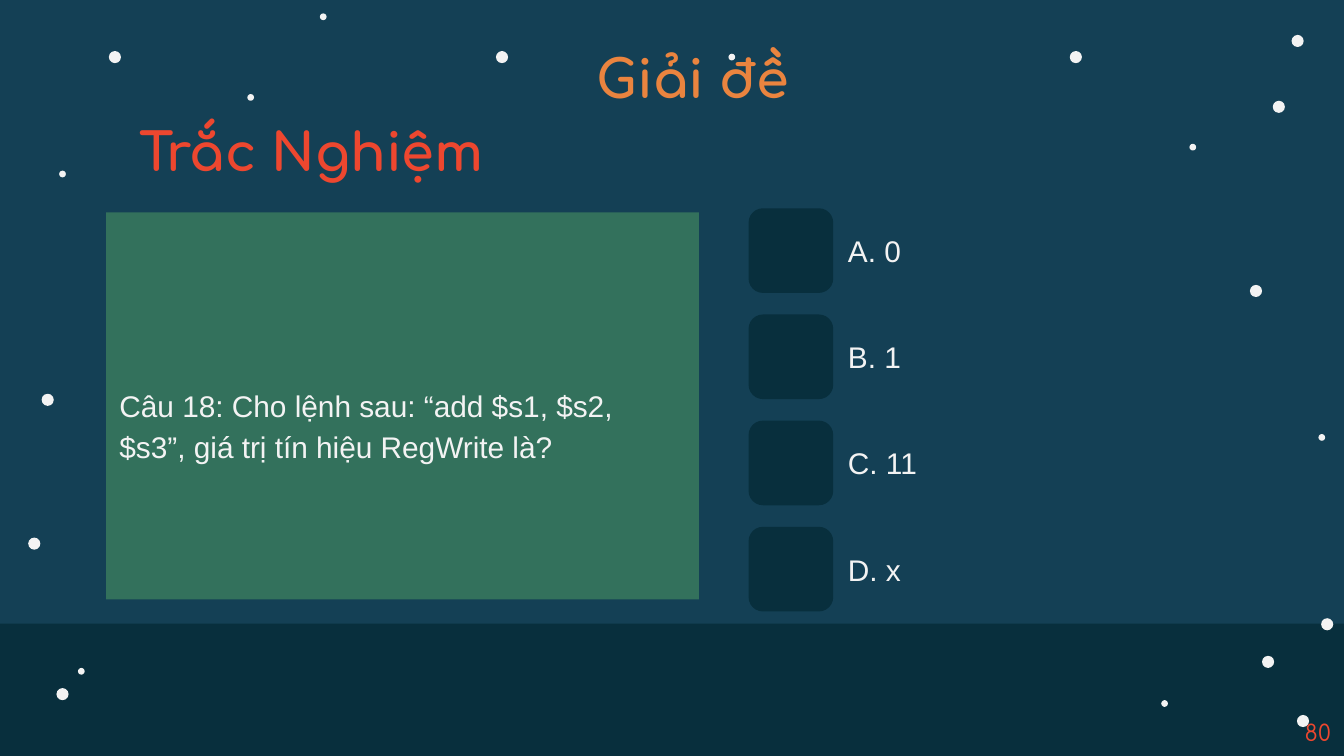
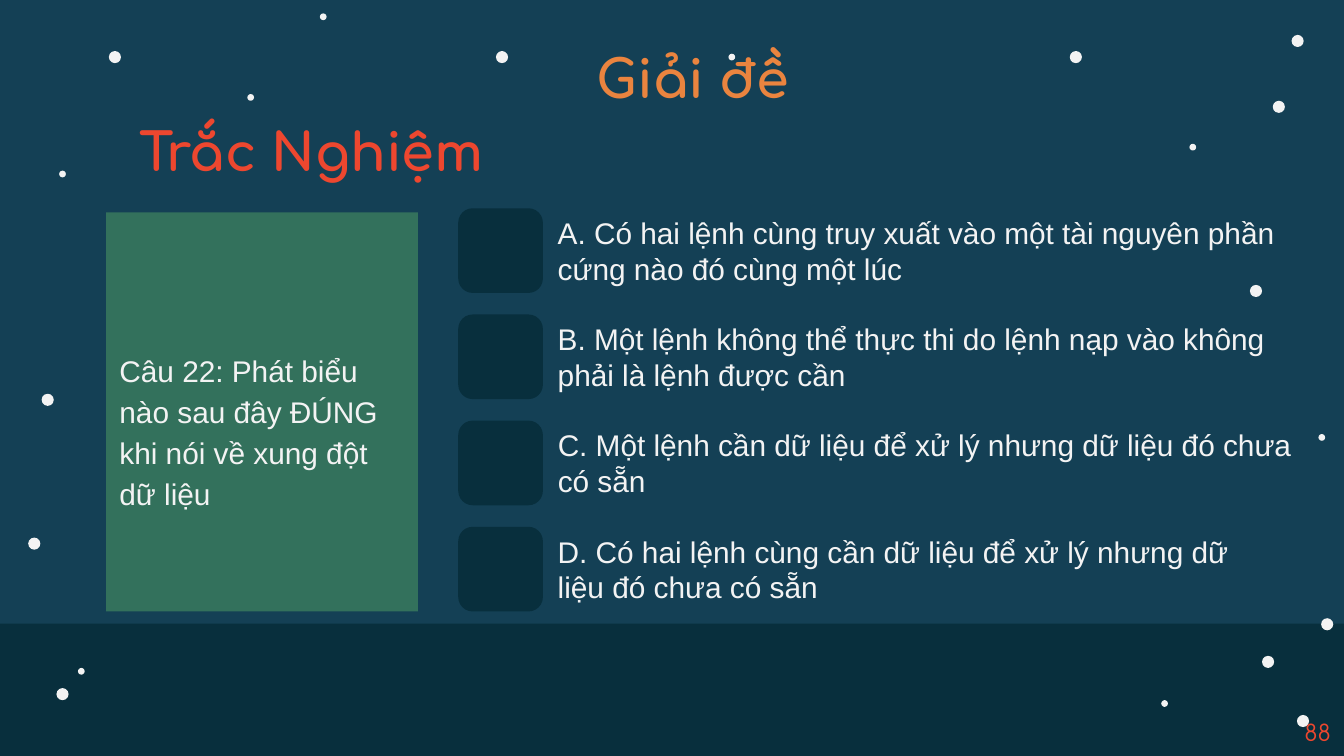
from dataclasses import dataclass

from pptx import Presentation
from pptx.dml.color import RGBColor
from pptx.enum.shapes import MSO_SHAPE
from pptx.enum.text import MSO_ANCHOR, MSO_AUTO_SIZE, PP_ALIGN
from pptx.util import Inches, Pt

RECTANGLE = MSO_SHAPE.RECTANGLE
ROUNDED = MSO_SHAPE.ROUNDED_RECTANGLE
OVAL = MSO_SHAPE.OVAL
TOP, MIDDLE = MSO_ANCHOR.TOP, MSO_ANCHOR.MIDDLE
LEFT, CENTER, RIGHT = PP_ALIGN.LEFT, PP_ALIGN.CENTER, PP_ALIGN.RIGHT
GROW = MSO_AUTO_SIZE.SHAPE_TO_FIT_TEXT


@dataclass(frozen=True)
class Theme:
    sky: str = "144055"
    dark: str = "082F3D"
    light: str = "F3F3F3"
    green: str = "33715C"
    orange: str = "EA843F"
    red: str = "ED472F"
    heading_font: str = "Comfortaa"
    body_font: str = "Arial"
    heading_size: int = 28
    body_size: int = 16
    number_size: int = 12


THEME = Theme()

TITLE = "Giải đề"
SECTION = "Trắc Nghiệm"
QUIZ = [
    {
        "number": "80",
        "question": "Câu 18: Cho lệnh sau: “add $s1, $s2, $s3”, giá trị tín hiệu RegWrite là?",
        "panel": (4.41, 2.88),
        "tile_left": 5.57,
        "answers": [("A. 0", 2.54), ("B. 1", 2.54), ("C. 11", 2.54), ("D. x", 2.54)],
    },
    {
        "number": "88",
        "question": "Câu 22: Phát biểu nào sau đây ĐÚNG khi nói về xung đột dữ liệu",
        "panel": (2.32, 2.97),
        "tile_left": 3.41,
        "answers": [
            ("A. Có hai lệnh cùng truy xuất vào một tài nguyên phần cứng nào đó cùng một lúc", 5.34),
            ("B. Một lệnh không thể thực thi do lệnh nạp vào không phải là lệnh được cần", 5.34),
            ("C. Một lệnh cần dữ liệu để xử lý nhưng dữ liệu đó chưa có sẵn", 5.49),
            ("D. Có hai lệnh cùng cần dữ liệu để xử lý nhưng dữ liệu đó chưa có sẵn", 5.34),
        ],
    },
]

SLIDE_WIDTH = 10
SLIDE_HEIGHT = SLIDE_WIDTH * 9 / 16
GROUND_TOP = 4.64
STARS = {
    0.09: [
        (0.81, 0.38), (9.3, 2.12), (7.96, 0.38), (9.61, 0.26), (3.69, 0.38), (9.65, 5.32),
        (0.31, 2.93), (9.47, 0.75), (9.39, 4.88), (9.83, 4.6), (0.21, 4), (0.42, 5.12),
    ],
    0.05: [
        (0.44, 1.27), (8.85, 1.07), (8.64, 5.21), (0.58, 4.97),
        (5.42, 0.4), (2.38, 0.1), (1.84, 0.7), (9.81, 3.23),
    ],
}
PANEL_LEFT, PANEL_TOP = 0.79, 1.58
TILE_TOP, TILE_BOTTOM, TILE_SIZE = 1.55, 4.55, 0.63
ANSWER_OFFSET, ANSWER_HEIGHT = 0.74, 0.44


def color(value):
    return RGBColor.from_string(value)


def add_block(slide, kind, box, fill):
    shape = slide.shapes.add_shape(kind, *map(Inches, box))
    shape.shadow.inherit = False
    shape.fill.solid()
    shape.fill.fore_color.rgb = color(fill)
    shape.line.fill.background()
    return shape


def write(shape, text, size, font, ink, bold=False, align=LEFT, anchor=MIDDLE,
          insets=(0.1, 0.05, 0.1, 0.05)):
    frame = shape.text_frame
    frame.text = text
    frame.word_wrap = True
    frame.vertical_anchor = anchor
    frame.margin_left, frame.margin_top, frame.margin_right, frame.margin_bottom = map(Inches, insets)
    paragraph = frame.paragraphs[0]
    paragraph.alignment = align
    for run in paragraph.runs:
        run.font.name = font
        run.font.size = Pt(size)
        run.font.bold = bold
        run.font.color.rgb = color(ink)
    return paragraph


def add_label(slide, box, *style, **options):
    label = slide.shapes.add_textbox(*map(Inches, box))
    write(label, *style, **options)
    return label


def add_night_sky(slide):
    slide.background.fill.solid()
    slide.background.fill.fore_color.rgb = color(THEME.sky)
    add_block(slide, RECTANGLE, (0, GROUND_TOP, SLIDE_WIDTH, SLIDE_HEIGHT - GROUND_TOP), THEME.dark)
    for size, places in STARS.items():
        for left, top in places:
            add_block(slide, OVAL, (left, top, size, size), THEME.light)


def add_headings(slide, number):
    add_label(slide, (0.94, 0.26, 8.43, 0.63), TITLE, THEME.heading_size, THEME.heading_font,
              THEME.orange, bold=True, align=CENTER, insets=(0.1, 0.1, 0.1, 0.1))
    section = add_label(slide, (0.94, 0.84, 5, 0.57), SECTION, THEME.heading_size,
                        THEME.heading_font, THEME.red, bold=True, anchor=TOP)
    section.text_frame.auto_size = GROW
    add_label(slide, (7.75, 5.3, 2.25, 0.3), number, THEME.number_size, THEME.heading_font,
              THEME.red, align=RIGHT)


def add_question(slide, text, size):
    panel = add_block(slide, RECTANGLE, (PANEL_LEFT, PANEL_TOP, *size), THEME.green)
    paragraph = write(panel, text, THEME.body_size, THEME.body_font, THEME.light,
                      insets=(0.1, 0.26, 0.1, 0))
    paragraph.line_spacing = 1.15
    paragraph.space_after = Pt(16)


def add_answers(slide, answers, left):
    pitch = (TILE_BOTTOM - TILE_TOP - TILE_SIZE) / (len(answers) - 1)
    for row, (text, width) in enumerate(answers):
        top = TILE_TOP + row * pitch
        tile = add_block(slide, ROUNDED, (left, top, TILE_SIZE, TILE_SIZE), THEME.dark)
        tile.adjustments[0] = 0.17
        text_top = top + (TILE_SIZE - ANSWER_HEIGHT) / 2
        add_label(slide, (left + ANSWER_OFFSET, text_top, width, ANSWER_HEIGHT), text,
                  THEME.body_size, THEME.body_font, THEME.light, insets=(0, 0, 0, 0))


def main():
    presentation = Presentation()
    presentation.slide_width = Inches(SLIDE_WIDTH)
    presentation.slide_height = Inches(SLIDE_HEIGHT)
    blank = presentation.slide_layouts[6]
    for item in QUIZ:
        slide = presentation.slides.add_slide(blank)
        add_night_sky(slide)
        add_answers(slide, item["answers"], item["tile_left"])
        add_question(slide, item["question"], item["panel"])
        add_headings(slide, item["number"])
    presentation.save("out.pptx")


if __name__ == "__main__":
    main()
